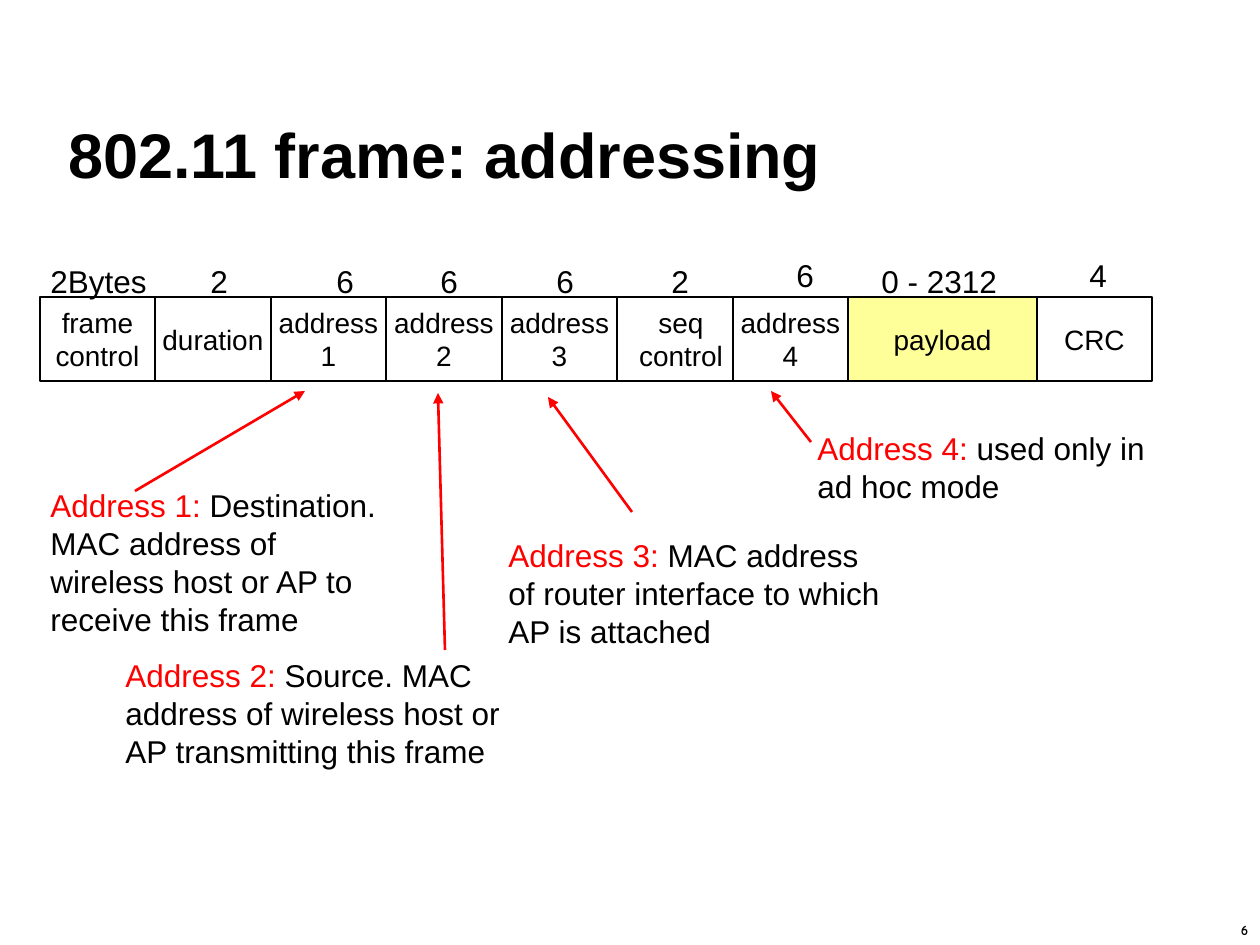
from dataclasses import dataclass

from lxml.etree import SubElement
from pptx import Presentation
from pptx.dml.color import RGBColor
from pptx.enum.shapes import MSO_CONNECTOR as Connector, MSO_SHAPE as Shape
from pptx.enum.text import MSO_ANCHOR as Anchor, MSO_AUTO_SIZE as AutoSize, PP_ALIGN as Align
from pptx.oxml.ns import qn
from pptx.util import Emu, Pt

EMU_PER_PX = 914400 / 126
COLORS = {"black": "000000", "red": "FF0000", "yellow": "FFFF99"}
ROW_TOP, ROW_HEIGHT, ROW_LEFT = 297, 84, 40
PAYLOAD_WIDTH = 189


@dataclass
class Span:
    text: str
    color: str = "black"


@dataclass
class Field:
    lines: list[str]
    size: str           # length in bytes
    size_left: int
    size_top: int = 256
    size_width: int = 43
    label_shift: int = 0


@dataclass
class Note:
    box: tuple[int, int, int, int]
    lines: list[list[Span]]
    start: tuple[int, int]
    end: tuple[int, int]


FIELDS = [
    Field(["frame", "control"], "2Bytes", 38, size_width=122),
    Field(["duration"], "2", 198),
    Field(["address", "1"], "6", 324),
    Field(["address", "2"], "6", 428),
    Field(["address", "3"], "6", 544),
    Field(["seq", "control"], "2", 659, label_shift=6),
    Field(["address", "4"], "6", 784, 250),
    Field(["payload"], "0 - 2312", 869, size_width=141),
    Field(["CRC"], "4", 1077, 250),
]

NOTES = [
    Note((38, 480, 373, 165),
         [[Span("Address 1:", "red"),
           Span(" Destination. MAC address of wireless host or AP to receive this frame")]],
         (135, 491), (305, 391)),
    Note((113, 650, 402, 127),
         [[Span("Address 2:", "red"),
           Span(" Source. MAC address of wireless host or AP transmitting this frame")]],
         (445, 650), (438, 393)),
    Note((496, 530, 421, 126),
         [[Span("Address 3:", "red"), Span(" MAC address")],
          [Span("of router interface to which AP is attached")]],
         (632, 512), (548, 397)),
    Note((805, 423, 359, 88),
         [[Span("Address 4:", "red"), Span(" used only in ad hoc mode")]],
         (811, 442), (771, 391)),
]


def px(value: int) -> Emu:
    return Emu(round(value * EMU_PER_PX))


def rgb(name: str) -> RGBColor:
    return RGBColor.from_string(COLORS[name])


def write(shape, lines: list[list[Span]], size: int, bold: bool = False,
          align=Align.LEFT, anchor=Anchor.TOP, wrap: bool = False,
          font: str = "Arial") -> None:
    frame = shape.text_frame
    frame.word_wrap = wrap
    frame.vertical_anchor = anchor
    for index, line in enumerate(lines):
        para = frame.paragraphs[0] if index == 0 else frame.add_paragraph()
        para.alignment = align
        for span in line:
            run = para.add_run()
            run.text = span.text
            run.font.name = font
            run.font.size = Pt(size)
            run.font.bold = bold
            run.font.color.rgb = rgb(span.color)


def add_text(page, box: tuple[int, int, int, int], lines: list[list[Span]],
             size: int, margins: tuple[int, int] | None = None, **style) -> None:
    shape = page.shapes.add_textbox(*map(px, box))
    write(shape, lines, size, **style)
    frame = shape.text_frame
    if margins:
        frame.margin_left = frame.margin_right = px(margins[0])
        frame.margin_top = frame.margin_bottom = px(margins[1])
    else:
        frame.auto_size = AutoSize.SHAPE_TO_FIT_TEXT


def add_field(page, field: Field, left: int, width: int) -> None:
    cell = page.shapes.add_shape(Shape.RECTANGLE, *map(px, (left, ROW_TOP, width, ROW_HEIGHT)))
    cell.shadow.inherit = False
    cell.line.color.rgb = rgb("black")
    cell.line.width = Pt(0.75)
    if field.lines == ["payload"]:
        cell.fill.solid()
        cell.fill.fore_color.rgb = rgb("yellow")
    else:
        cell.fill.background()
    label = [[Span(line)] for line in field.lines]
    if field.label_shift:
        add_text(page, (left + field.label_shift + 3, ROW_TOP + 2, 110, 81), label, 16,
                 align=Align.CENTER)
    else:
        write(cell, label, 16, align=Align.CENTER, anchor=Anchor.MIDDLE)
    add_text(page, (field.size_left, field.size_top, field.size_width, 50),
             [[Span(field.size)]], 18)


def add_arrow(page, start: tuple[int, int], end: tuple[int, int]) -> None:
    arrow = page.shapes.add_connector(Connector.STRAIGHT, *map(px, start + end))
    arrow.line.color.rgb = rgb("red")
    arrow.line.width = Pt(1.5)
    properties = arrow._element.spPr
    SubElement(properties.find(qn("a:ln")), qn("a:tailEnd"), type="triangle")
    SubElement(properties, qn("a:effectLst"))


def main() -> None:
    deck = Presentation()
    deck.slide_width, deck.slide_height = px(1260), px(945)
    page = deck.slides.add_slide(deck.slide_layouts[6])

    # Title and page number
    add_text(page, (63, 74, 1014, 122), [[Span("802.11 frame: addressing")]], 36,
             margins=(5, 5), bold=True, anchor=Anchor.BOTTOM, wrap=True)
    add_text(page, (1232, 917, 25, 26), [[Span("6")]], 8, margins=(9, 5), bold=True,
             align=Align.CENTER, font="Comic Neue")

    # Frame fields, side by side, with their lengths above
    left = ROW_LEFT
    for index, field in enumerate(FIELDS):
        # Equal cells are 115.5 px wide, so whole widths alternate
        width = PAYLOAD_WIDTH if field.lines == ["payload"] else 115 + index % 2
        add_field(page, field, left, width)
        left += width

    # Address notes and their arrows
    for note in NOTES:
        add_text(page, note.box, note.lines, 18, wrap=True)
        add_arrow(page, note.start, note.end)

    deck.save("out.pptx")


if __name__ == "__main__":
    main()
